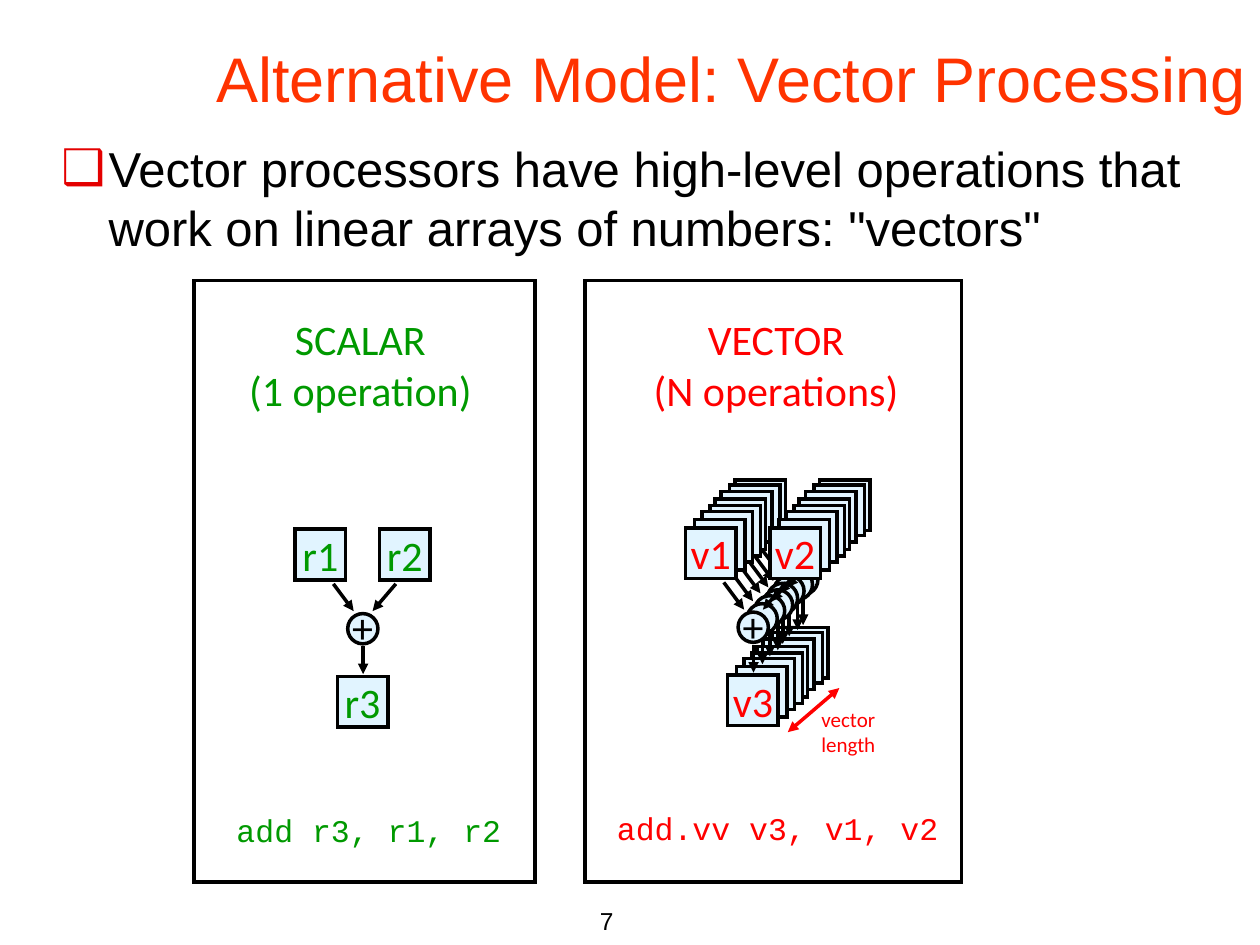
from lxml import etree
from pptx import Presentation
from pptx.dml.color import RGBColor
from pptx.enum.shapes import MSO_CONNECTOR, MSO_SHAPE
from pptx.enum.text import MSO_ANCHOR, PP_ALIGN
from pptx.oxml.ns import qn
from pptx.util import Cm, Pt

RECT, OVAL = MSO_SHAPE.RECTANGLE, MSO_SHAPE.OVAL
STRAIGHT = MSO_CONNECTOR.STRAIGHT
LEFT, CENTER, RIGHT = PP_ALIGN.LEFT, PP_ALIGN.CENTER, PP_ALIGN.RIGHT
MIDDLE = MSO_ANCHOR.MIDDLE

COLORS = {
    "title": "FF3300",
    "bullet": "E40000",
    "ink": "000000",
    "unit": "E1F4FF",
    "scalar": "009900",
    "vector": "FF0000",
}
rgb = {name: RGBColor.from_string(value) for name, value in COLORS.items()}

prs = Presentation()
prs.slide_width, prs.slide_height = Cm(25.4), Cm(19.05)
slide = prs.slides.add_slide(prs.slide_layouts[6])


def add_text(box, lines, font, size, color, align=CENTER, wrap=False):
    frame = slide.shapes.add_textbox(*map(Cm, box)).text_frame
    frame.word_wrap = wrap
    for number, line in enumerate(lines):
        paragraph = frame.paragraphs[0] if number == 0 else frame.add_paragraph()
        paragraph.alignment = align
        run = paragraph.add_run()
        run.text = line
        run.font.name = font
        run.font.size = Pt(size)
        run.font.color.rgb = rgb[color]
    return frame


def add_outlined(kind, box, fill=None):
    shape = slide.shapes.add_shape(kind, *map(Cm, box))
    shape.shadow.inherit = False
    shape.line.color.rgb = rgb["ink"]
    shape.line.width = Pt(2)
    etree.SubElement(shape.line._get_or_add_ln(), qn("a:miter"), lim="800000")
    if fill:
        shape.fill.solid()
        shape.fill.fore_color.rgb = rgb[fill]
    else:
        shape.fill.background()


# Page number, title and bullet
add_text((7.34, 18.14, 5.28, 1.27), ["7"], "Arial", 14, "ink", RIGHT, True)
title = add_text((4.11, 0.48, 21.69, 2.16), ["Alternative Model: Vector Processing"],
                 "Arial", 36, "title", LEFT, True)
title.vertical_anchor = MIDDLE
body = add_text(
    (0.99, 2.67, 23.83, 2.11),
    ['Vector processors have high-level operations that work on linear arrays of numbers: "vectors"'],
    "Arial", 28, "ink", LEFT, True)
bullet = body.paragraphs[0]._p.get_or_add_pPr()
bullet.set("marL", str(Cm(0.95)))
bullet.set("indent", str(-Cm(0.95)))
bullet_color = etree.SubElement(bullet, qn("a:buClr"))
etree.SubElement(bullet_color, qn("a:srgbClr"), val=COLORS["bullet"])
etree.SubElement(bullet, qn("a:buFont"), typeface="Arial")
etree.SubElement(bullet, qn("a:buChar"), char="❑")

# One adder, measured from the top left corner of its circle
ADDER, REGISTER = 0.61, 1.02
LABEL_WIDTH, LABEL_HEIGHT = 1.6, 1.27
registers = [(-1.06, -1.7), (0.64, -1.7), (-0.21, 1.27)]
data_arrows = [
    ((-0.29, -0.6), (0.12, -0.05), "ink", ["tailEnd"]),
    ((0.97, -0.6), (0.5, -0.05), "ink", ["tailEnd"]),
    ((0.31, 0.66), (0.31, 1.22), "ink", ["tailEnd"]),
]
length_arrow = ((2.04, 1.53), (1, 2.42), "vector", ["headEnd", "tailEnd"])

# Adders run from back to front
panels = [
    {
        "color": "scalar", "frame": (3.91, 5.66, 6.88, 12.12),
        "adders": [(7.01, 12.37)], "names": ["r1", "r2", "r3"],
        "caption": ["SCALAR", "(1 operation)"], "caption_box": (4.75, 6.2, 5.03, 2.31),
        "code": "add r3, r1, r2", "code_box": (4.5, 16.23, 5.87, 1.02),
    },
    {
        "color": "vector", "frame": (11.79, 5.66, 7.59, 12.12),
        "adders": [(15.88, 11.38), (15.77, 11.48), (15.6, 11.61), (15.47, 11.76),
                   (15.37, 11.89), (15.21, 12.01), (15.06, 12.17), (14.88, 12.34)],
        "names": ["v1", "v2", "v3"],
        "caption": ["VECTOR", "(N operations)"], "caption_box": (12.9, 6.2, 5.49, 2.31),
        "code": "add.vv v3, v1, v2", "code_box": (12.17, 16.18, 7.01, 1.02),
    },
]

for panel in panels:
    color, adders = panel["color"], panel["adders"]
    add_outlined(RECT, panel["frame"])

    for depth, (x, y) in enumerate(adders):
        is_front = depth == len(adders) - 1
        add_outlined(OVAL, (x, y, ADDER, ADDER), "unit")
        for dx, dy in registers:
            add_outlined(RECT, (x + dx, y + dy, REGISTER, REGISTER), "unit")

        # The rearmost adder's left input is covered by the stack
        arrows = data_arrows if is_front else data_arrows[depth == 0:]
        if is_front and color == "vector":
            arrows = arrows + [length_arrow]
        for (x1, y1), (x2, y2), line_color, ends in arrows:
            arrow = slide.shapes.add_connector(
                STRAIGHT, Cm(x + x1), Cm(y + y1), Cm(x + x2), Cm(y + y2))
            arrow.line.color.rgb = rgb[line_color]
            arrow.line.width = Pt(2)
            for end in ends:
                etree.SubElement(arrow.line._get_or_add_ln(), qn(f"a:{end}"), type="triangle")
            etree.SubElement(arrow._element.spPr, qn("a:effectLst"))

    # Labels belong to the front adder, the last one drawn
    for name, (dx, dy) in zip(panel["names"], registers):
        label_left = x + dx + (REGISTER - LABEL_WIDTH) / 2
        label_top = y + dy + (REGISTER - LABEL_HEIGHT) / 2
        add_text((label_left, label_top, LABEL_WIDTH, LABEL_HEIGHT), [name], "Calibri", 24, color)
    add_text((x - 0.17, y - 0.36, 0.94, LABEL_HEIGHT), ["+"], "Calibri", 24, "ink")
    add_text(panel["caption_box"], panel["caption"], "Calibri", 24, color)
    add_text(panel["code_box"], [panel["code"]], "Courier New", 18, color)

add_text((16.31, 14.12, 1.78, 1.27), ["vector", "length"], "Calibri", 12, "vector", LEFT, True)

prs.save("out.pptx")
